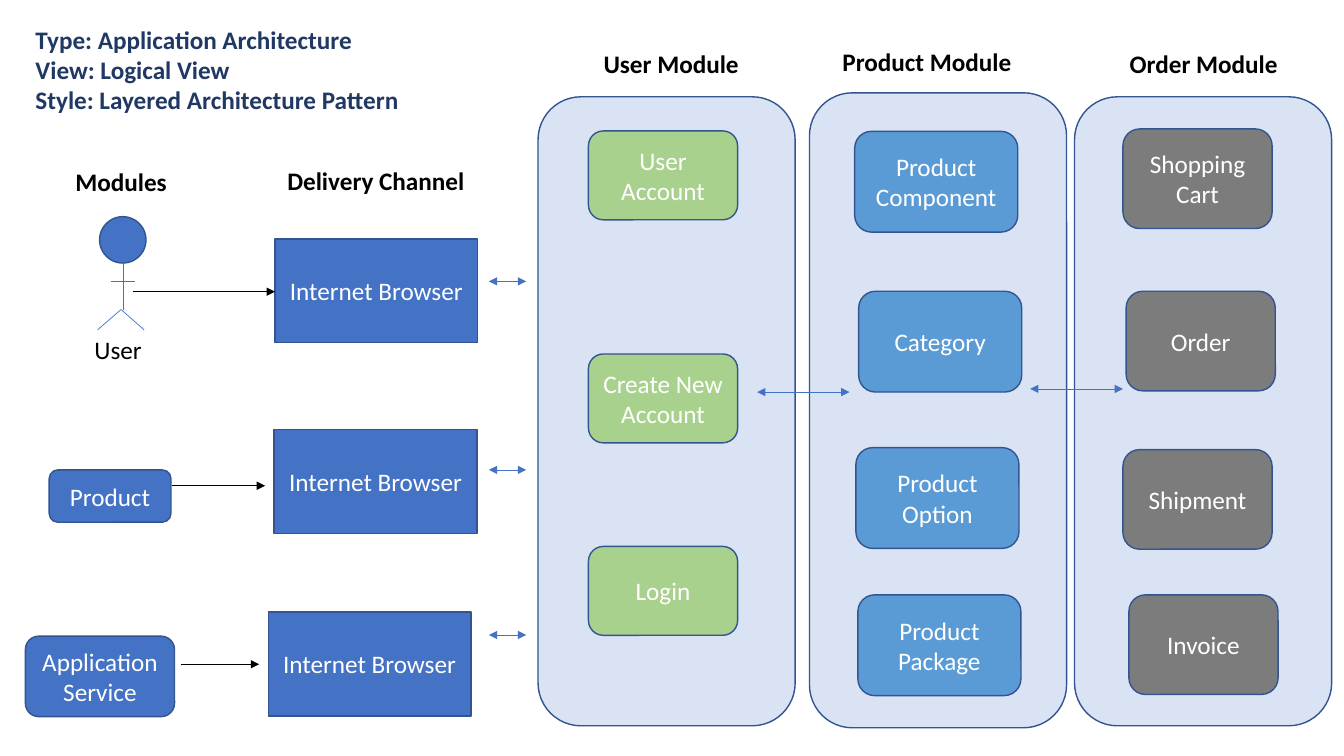
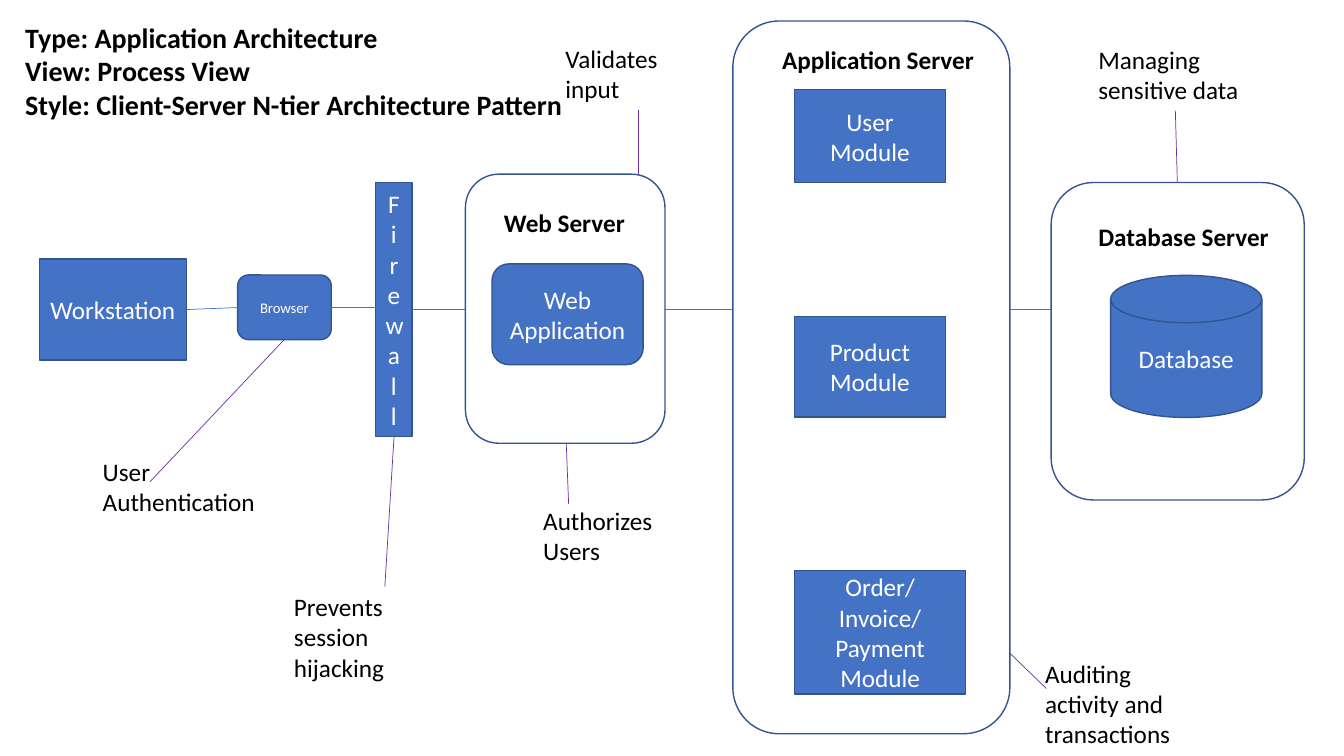
from pptx import Presentation
from pptx import util as u
from pptx.dml.color import RGBColor
from pptx.enum import shapes, text
from pptx.oxml.ns import qn
from lxml import etree

FONT = "Calibri"
BLUE, OUTLINE, PALE = "4472C4", "325491", "DAE3F3"
GREEN, SKY, GRAY = "A9D18E", "5B9BD5", "7C7C7C"
NAVY, PURPLE, BLACK, WHITE = "203864", "7030A0", "000000", "FFFFFF"
RECT = shapes.MSO_SHAPE.RECTANGLE
ROUND = shapes.MSO_SHAPE.ROUNDED_RECTANGLE
OVAL = shapes.MSO_SHAPE.OVAL
DISK = shapes.MSO_SHAPE.FLOWCHART_MAGNETIC_DISK
LEFT, CENTER = text.PP_ALIGN.LEFT, text.PP_ALIGN.CENTER
TOP, MIDDLE = text.MSO_ANCHOR.TOP, text.MSO_ANCHOR.MIDDLE
LINE_HEIGHT = 1.02


def rgb(code):
    return RGBColor.from_string(code)


def cm(lengths):
    return [u.Cm(length) for length in lengths]


def shift(box, left, top):
    return box[0] + left, box[1] + top


def write(frame, words, size=18, color=BLACK, bold=False, align=LEFT,
          anchor=TOP, fit=text.MSO_AUTO_SIZE.NONE):
    frame.word_wrap = True
    frame.auto_size = fit
    frame.vertical_anchor = anchor
    for index, line in enumerate(words.split("\n")):
        paragraph = frame.add_paragraph() if index else frame.paragraphs[0]
        paragraph.alignment = align
        run = paragraph.add_run()
        run.text = line
        run.font.name = FONT
        run.font.size = u.Pt(size)
        run.font.bold = bold
        run.font.color.rgb = rgb(color)


def label(slide, box, words, **form):
    frame = slide.shapes.add_textbox(*cm(box)).text_frame
    write(frame, words, fit=text.MSO_AUTO_SIZE.SHAPE_TO_FIT_TEXT, **form)


def block(slide, box, words="", kind=RECT, fill=BLUE, size=18):
    body = slide.shapes.add_shape(kind, *cm(box))
    body.shadow.inherit = False
    if fill:
        body.fill.solid()
        body.fill.fore_color.rgb = rgb(fill)
    else:
        body.fill.background()
    body.line.color.rgb = rgb(OUTLINE)
    body.line.width = u.Pt(1)
    if words:
        write(body.text_frame, words, size=size, color=WHITE,
              align=CENTER, anchor=MIDDLE)


def link(slide, start, end, color=BLUE, arrows=()):
    wire = slide.shapes.add_connector(shapes.MSO_CONNECTOR.STRAIGHT,
                                      *cm((*start, *end)))
    wire.line.color.rgb = rgb(color)
    wire.line.width = u.Pt(0.5)
    for arrow in arrows:
        etree.SubElement(wire.line._ln, qn("a:" + arrow), type="triangle")
    etree.SubElement(wire._element.spPr, qn("a:effectLst"))


def titled_slide(deck, box, words, **form):
    slide = deck.slides.add_slide(deck.slide_layouts[5])
    title = slide.shapes.title
    title.left, title.top, title.width, title.height = cm(box)
    write(title.text_frame, words, bold=True, **form)
    return slide


def panel(slide, box, name, name_box, parts, fill=None, part_fill=BLUE):
    block(slide, box, kind=ROUND, fill=fill)
    left, top, width = name_box
    label(slide, (*shift(box, left, top), width, LINE_HEIGHT), name, bold=True)
    for words, kind, left, top, width, height in parts:
        block(slide, (*shift(box, left, top), width, height), words, kind,
              part_fill)


def stack(places, width, height):
    return [(words, ROUND, left, top, width, height)
            for words, left, top in places]


def actor(slide, box):
    head = 1.17
    block(slide, (*shift(box, 0.05, 0), head, head), kind=OVAL)
    hip = shift(box, 0.59, 2.34)
    link(slide, shift(box, 0.64, head), shift(box, 0.64, 2.34))
    link(slide, hip, shift(box, 0, box[3]))
    link(slide, hip, shift(box, head, box[3]))
    link(slide, shift(box, 0.33, 1.63), shift(box, 0.94, 1.63))
    label(slide, (*shift(box, -0.33, box[3]), 1.88, LINE_HEIGHT), "User")


def channel(slide, box, request, exchange_y):
    block(slide, box, "Internet Browser")
    start, end, request_y = request
    link(slide, (start, request_y), (end, request_y), BLACK, ["tailEnd"])
    exchange(slide, 12.32, 13.26, exchange_y)


def exchange(slide, start, end, y):
    link(slide, (start, y), (end, y), arrows=["headEnd", "tailEnd"])


def logical_view(deck):
    slide = titled_slide(
        deck, (0.64, 0.48, 16.94, 2.57),
        "Type: Application Architecture\nView: Logical View\n"
        "Style: Layered Architecture Pattern", color=NAVY)

    order = [("Shopping Cart", 1.22, 0.81), ("Order", 1.3, 4.9),
             ("Shipment", 1.22, 8.89), ("Invoice", 1.37, 12.55)]
    product = [("Product Component", 1.14, 0.97), ("Category", 1.24, 5),
               ("Product Option", 1.17, 8.94), ("Product Package", 1.22, 12.65)]
    user = [("User Account", 1.27, 0.86), ("Create New Account", 1.27, 6.48),
            ("Login", 1.27, 11.33)]
    panel(slide, (27.08, 2.44, 6.48, 15.85), "Order Module",
          (1.14, -1.35, 4.62), stack(order, 3.76, 2.51), PALE, GRAY)
    panel(slide, (20.4, 2.34, 6.48, 16), "Product Module",
          (0.58, -1.3, 5.33), stack(product, 4.11, 2.54), PALE, SKY)
    panel(slide, (13.56, 2.44, 6.48, 15.85), "User Module",
          (1.4, -1.35, 4.62), stack(user, 3.76, 2.24), PALE, GREEN)

    label(slide, (1.65, 4.06, 4.09, LINE_HEIGHT), "Modules", bold=True)
    label(slide, (6.99, 4.04, 5.33, LINE_HEIGHT), "Delivery Channel", bold=True)
    actor(slide, (2.46, 5.46, 1.22, 2.85))
    block(slide, (1.24, 11.84, 3.07, 1.32), "Product", ROUND)
    block(slide, (0.64, 16.03, 3.76, 2.03), "Application Service", ROUND)

    for left, top, request, exchange_y in (
            (6.93, 6.02, (3.35, 6.93, 7.35), 7.09),
            (6.91, 10.82, (4.34, 6.68, 12.24), 11.84),
            (6.76, 15.42, (4.55, 6.53, 16.74), 16)):
        channel(slide, (left, top, 5.11, 2.62), request, exchange_y)
    exchange(slide, 19.08, 21.41, 9.88)
    exchange(slide, 25.96, 28.3, 9.8)


def client(slide, box):
    block(slide, (*shift(box, 0, 1.93), 3.71, 2.54), "Workstation")
    block(slide, (*shift(box, 5, 2.33), 2.36, 1.63), "Browser", ROUND, size=10.5)
    block(slide, (*shift(box, 8.48, 0), 0.91, box[3]), "Fi\nrewal\nl")


def security_notes(slide):
    for box, words, start, end in (
            ((2.34, 11.38, 4.78, 1.8), "User Authentication",
             (3.78, 12.14), (7.16, 8.56)),
            ((7.16, 14.78, 3.23, 2.57), "Prevents session hijacking",
             (9.93, 11), (9.7, 14.78)),
            ((14, 0.97, 4.17, 1.8), "Validates input",
             (16.08, 2.77), (16.08, 4.39)),
            ((13.44, 12.6, 3.35, 1.8), "Authorizes Users",
             (14.27, 11.18), (14.33, 12.7)),
            ((26.09, 16.46, 4.22, 2.57), "Auditing activity and transactions",
             (25.45, 16.46), (26.37, 17.35)),
            ((27.43, 0.99, 4.34, 1.8), "Managing sensitive data",
             (29.62, 2.79), (29.67, 4.6))):
        label(slide, box, words)
        link(slide, start, end, PURPLE)


def process_view(deck):
    slide = titled_slide(
        deck, (0.38, 0.38, 14.58, 2.82),
        "Type: Application Architecture\nView: Process View\n"
        "Style: Client-Server N-tier Architecture Pattern", size=20)

    client(slide, (0.99, 4.6, 9.39, 6.4))
    panel(slide, (11.73, 4.39, 5.03, 6.78), "Web Server", (0.72, 0.72, 3.94),
          [("Web Application", ROUND, 0.67, 2.26, 3.81, 2.54)])
    panel(slide, (18.47, 0.53, 6.98, 17.96), "Application Server",
          (0.99, 0.46, 5.44),
          [("User Module", RECT, 1.55, 1.73, 3.81, 2.34),
           ("Product Module", RECT, 1.55, 7.44, 3.81, 2.54),
           ("Order/Invoice/Payment Module", RECT, 1.55, 13.84, 4.32, 3.12)])
    panel(slide, (26.49, 4.6, 6.38, 8), "Database Server", (0.94, 0.84, 5.08),
          [("Database", DISK, 1.5, 2.34, 3.81, 3.58)])

    link(slide, (4.7, 7.8), (5.99, 7.75))
    link(slide, (8.35, 7.75), (9.47, 7.75))
    for start, end in ((10.38, 11.73), (16.76, 18.47), (25.45, 26.49)):
        link(slide, (start, 7.8), (end, 7.8))
    security_notes(slide)


deck = Presentation()
deck.slide_width, deck.slide_height = cm((33.87, 19.05))
logical_view(deck)
process_view(deck)
deck.save("out.pptx")
